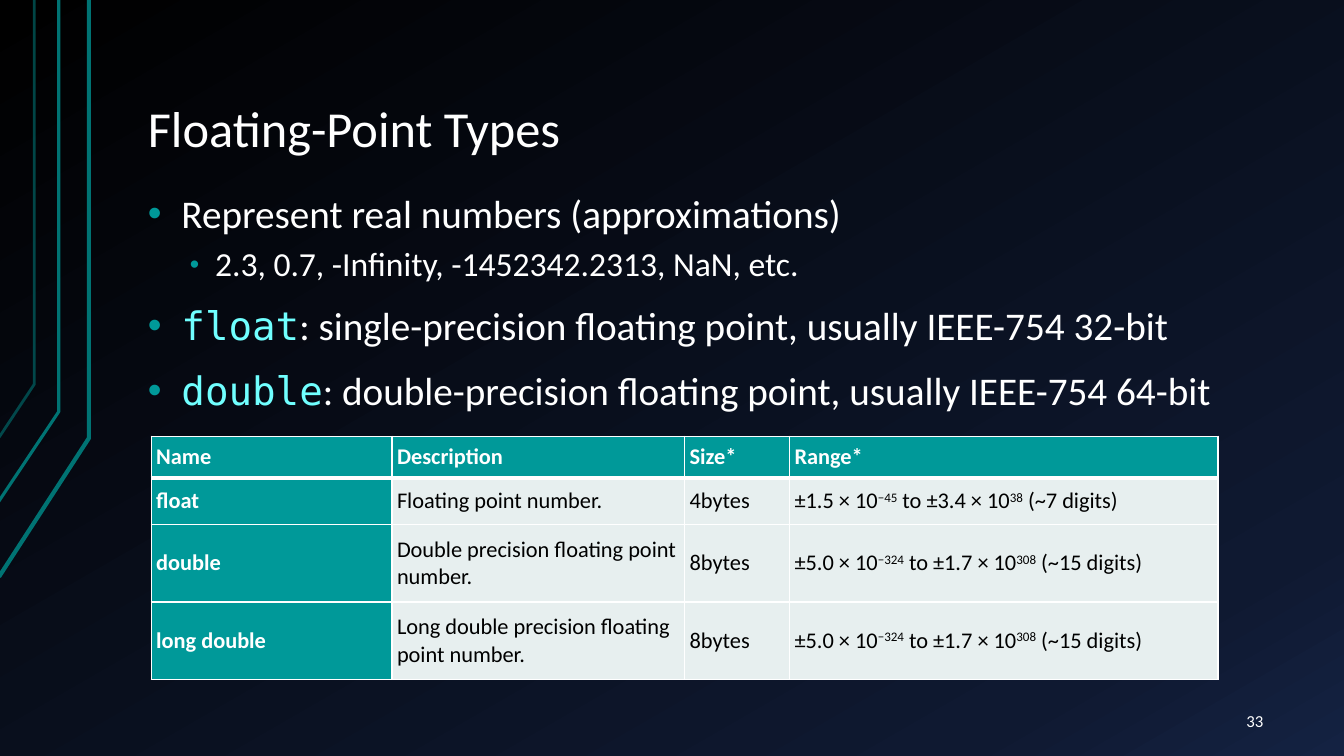
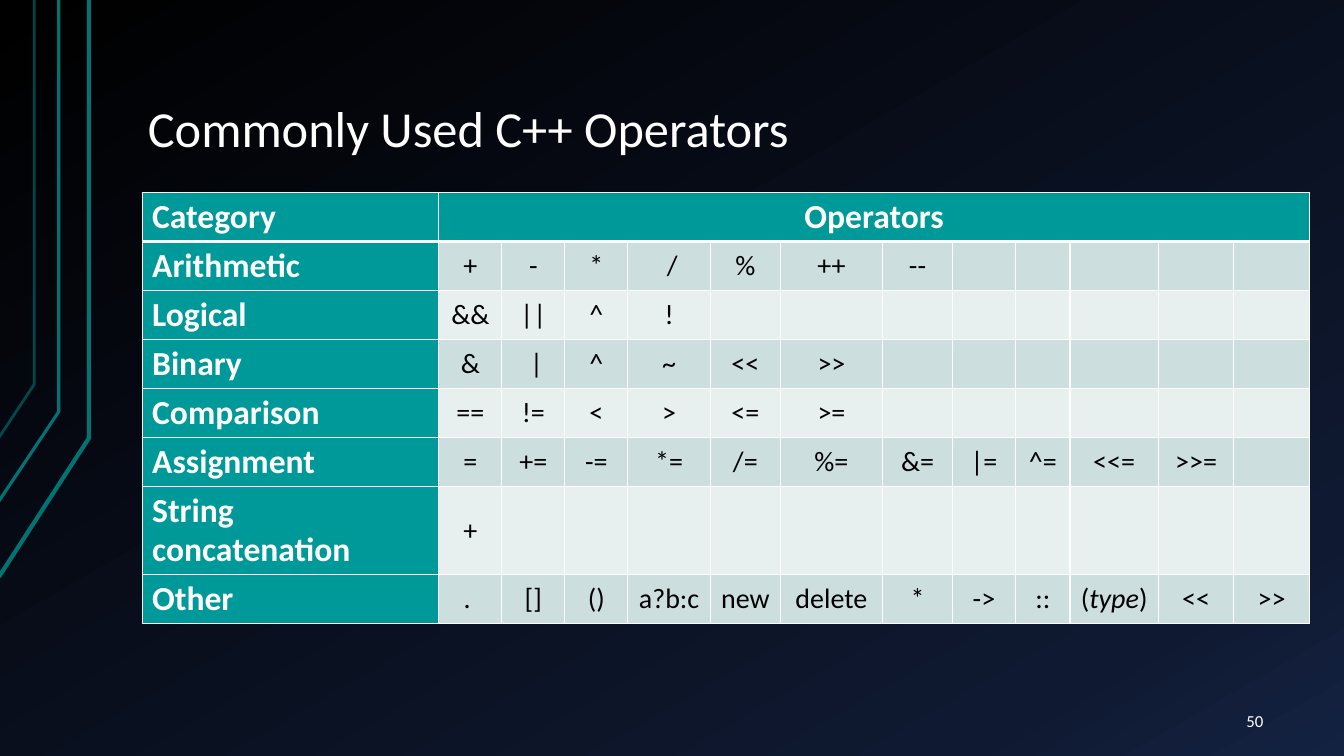
from copy import deepcopy

from lxml import etree
from pptx import Presentation
from pptx.dml.color import RGBColor
from pptx.enum.text import MSO_ANCHOR, PP_ALIGN
from pptx.oxml.ns import qn
from pptx.util import Pt

LEFT, CENTER, RIGHT = PP_ALIGN.LEFT, PP_ALIGN.CENTER, PP_ALIGN.RIGHT
TOP, MIDDLE, BOTTOM = MSO_ANCHOR.TOP, MSO_ANCHOR.MIDDLE, MSO_ANCHOR.BOTTOM

COLORS = {
    "text": "FFFFFF",
    "dark": "000000",
    "accent": "009999",
    "line": "007373",
    "code": "70FFFF",
    "band": "CCDEDE",
    "pale": "E7EFEF",
}
BACKGROUND = [(0, "000000"), (0.85, "0F1931"), (1, "142242")]
CIRCUIT_LINES = [
    ([(-0.7, 412), (63.5, 313), (63.5, 0)], 3, 100),
    ([(-1.5, 359), (42, 294), (42, 0)], 2.25, 100),
    ([(-0.7, 312.5), (24.5, 274.5), (24.5, 0)], 2, 60),
]
BULLETS = [
    {"indent": 24, "hang": 24, "before": 16, "size": 28, "bullet": 100},
    {"indent": 48, "hang": 18, "before": 8, "size": 24, "bullet": 80},
]
SUPER = {"baseline": 30000}
CODE = {"name": "DejaVu Sans Mono", "color": "code"}


def rgb(key):
    return RGBColor.from_string(COLORS[key])


def add_node(parent, tag, **attrs):
    return etree.SubElement(parent, qn(tag), attrs)


class Deck:
    def __init__(self):
        self.prs = Presentation()
        self.prs.slide_width, self.prs.slide_height = Pt(960), Pt(540)
        self.s = None
        self.set_background()

    def set_background(self):
        master = self.prs.slide_master
        fill = master.background.fill
        fill.gradient()
        fill.gradient_angle = 300
        stops = master.element.find(".//" + qn("a:gsLst"))
        stops.append(deepcopy(stops[0]))
        for stop, (position, color) in zip(fill.gradient_stops, BACKGROUND):
            stop.position = position
            stop.color.rgb = RGBColor.from_string(color)

    def slide(self, title, number):
        self.s = self.prs.slides.add_slide(self.prs.slide_layouts[6])
        for points, width, opacity in CIRCUIT_LINES:
            self.circuit_line(points, width, opacity)
        tf = self.box(96, 21.5, 816, 96.5, BOTTOM)
        self.add_text(tf.paragraphs[0], title, spacing=0.9, size=36)
        tf = self.box(832, 500.5, 80, 28.75, MIDDLE)
        self.add_text(tf.paragraphs[0], str(number), align=RIGHT, size=12)

    def circuit_line(self, points, width, opacity):
        start, *rest = [(Pt(x), Pt(y)) for x, y in points]
        builder = self.s.shapes.build_freeform(*start)
        builder.add_line_segments(rest, close=False)
        sp = builder.convert_to_shape()
        sp.shadow.inherit = False
        sp.fill.background()
        sp.line.color.rgb = rgb("line")
        sp.line.width = Pt(width)
        color = sp.element.spPr.find(qn("a:ln")).find(".//" + qn("a:srgbClr"))
        add_node(color, "a:alpha", val=str(opacity * 1000))

    def box(self, x, y, w, h, anchor):
        tf = self.s.shapes.add_textbox(Pt(x), Pt(y), Pt(w), Pt(h)).text_frame
        frame = {"word_wrap": True, "vertical_anchor": anchor,
                 "margin_left": Pt(9.6), "margin_right": Pt(9.6),
                 "margin_top": Pt(4.8), "margin_bottom": Pt(4.8)}
        for key, value in frame.items():
            setattr(tf, key, value)
        return tf

    def add_text(self, p, runs, align=LEFT, spacing=1.0, **font):
        p.alignment, p.line_spacing = align, spacing
        for text, extra in [(runs, {})] if isinstance(runs, str) else runs:
            r = p.add_run()
            r.text = text
            style = {"name": "Calibri", "color": "text", **font, **extra}
            r.font.color.rgb = rgb(style.pop("color"))
            r.font.size = Pt(style.pop("size"))
            baseline = style.pop("baseline", 0)
            if baseline:
                r._r.get_or_add_rPr().set("baseline", str(baseline))
            for key, value in style.items():
                setattr(r.font, key, value)

    def bullets(self, x, y, w, h, items):
        tf = self.box(x, y, w, h, TOP)
        for i, (level, runs) in enumerate(items):
            p = tf.add_paragraph() if i else tf.paragraphs[0]
            look = BULLETS[level]
            p.level = level
            p.space_before = Pt(look["before"])
            self.add_text(p, runs, spacing=0.9, size=look["size"])
            pPr = p._p.get_or_add_pPr()
            pPr.set("marL", str(Pt(look["indent"])))
            pPr.set("indent", str(-Pt(look["hang"])))
            add_node(add_node(pPr, "a:buClr"), "a:srgbClr", val=COLORS["accent"])
            add_node(pPr, "a:buSzPct", val=str(look["bullet"] * 1000))
            add_node(pPr, "a:buFont", typeface="Arial")
            add_node(pPr, "a:buChar", char="•")

    def borders(self, cell, row):
        tcPr = cell._tc.get_or_add_tcPr()
        widths = {"L": 1, "R": 1, "T": 3 if row == 1 else 1, "B": 1 if row else 3}
        for i, (side, width) in enumerate(widths.items()):
            ln = etree.Element(qn("a:ln" + side), w=str(Pt(width)))
            fill = add_node(ln, "a:solidFill")
            add_node(fill, "a:srgbClr", val=COLORS["text"])
            tcPr.insert(i, ln)

    def table(self, x, y, widths, heights, rows, bands, head, body,
              margins=(7.2, 3.6), align=LEFT, spacing=1.0):
        table = self.s.shapes.add_table(
            len(rows), len(widths), Pt(x), Pt(y),
            Pt(sum(widths)), Pt(sum(heights))).table
        table.horz_banding = False
        for col, width in zip(table.columns, widths):
            col.width = Pt(width)
        for row, height in zip(table.rows, heights):
            row.height = Pt(height)
        side, edge = map(Pt, margins)
        frame = {"vertical_anchor": MIDDLE, "margin_left": side,
                 "margin_right": side, "margin_top": edge, "margin_bottom": edge}
        for i, row in enumerate(rows):
            for j in range(len(widths)):
                cell = table.cell(i, j)
                heading = i == 0 or j == 0
                for key, value in frame.items():
                    setattr(cell, key, value)
                cell.fill.solid()
                cell.fill.fore_color.rgb = rgb(
                    "accent" if heading else bands[(i - 1) % len(bands)])
                self.borders(cell, i)
                if j < len(row):
                    self.add_text(cell.text_frame.paragraphs[0], row[j],
                                  align=align if j else LEFT, spacing=spacing,
                                  size=head if heading else body, bold=heading,
                                  color="text" if heading else "dark")
        return table


def value_range(low, low_exp, high, high_exp, digits):
    return [(f"±{low} × 10", {}), (f"−{low_exp}", SUPER),
            (f" to ±{high} × 10", {}), (str(high_exp), SUPER),
            (f" (~{digits} digits)", {})]


def floating_point_slide(deck):
    deck.slide("Floating-Point Types", 33)
    deck.bullets(96, 134, 816, 351, [
        (0, "Represent real numbers (approximations)"),
        (1, "2.3, 0.7, -Infinity, -1452342.2313, NaN, etc."),
        (0, [("float", CODE),
             (": single-precision floating point, usually IEEE-754 32-bit", {})]),
        (0, [("double", CODE),
             (": double-precision floating point, usually IEEE-754 64-bit", {})]),
    ])
    double_range = value_range("5.0", 324, "1.7", 308, 15)
    rows = [
        ["Name", "Description", "Size*", "Range*"],
        ["float", "Floating point number.", "4bytes",
         value_range("1.5", 45, "3.4", 38, 7)],
        ["double", "Double precision floating point number.", "8bytes",
         double_range],
        ["long double", "Long double precision floating point number.",
         "8bytes", double_range],
    ]
    deck.table(108, 311.5, [172, 209, 75, 306], [30, 33, 55.5, 55.5], rows,
               ["pale"], head=16, body=16, margins=(3.6, 1.5))


def operators_slide(deck):
    deck.slide("Commonly Used C++ Operators", 50)
    cast = [("(", {}), ("type", {"italic": True}), (")", {})]
    rows = [
        ["Category", "Operators"],
        ["Arithmetic", "+", "-", "*", " /", "%", "++", "--"],
        ["Logical", "&&", "||", "^", "!"],
        ["Binary", "&", " |", "^", "~", "<<", ">>"],
        ["Comparison", "==", "!=", "<", ">", "<=", ">="],
        ["Assignment", "=", "+=", "-=", "*=", "/=", "%=", "&=", "|=", "^=",
         "<<=", ">>="],
        ["String concatenation", "+"],
        ["Other", ". ", "[]", "()", "a?b:c", "new", "delete", "*", "->", "::",
         cast, "<<", ">>"],
    ]
    widths = [212, 45, 45, 45, 59, 50, 73, 50, 45, 39, 63, 54, 54]
    table = deck.table(101.5, 137.5, widths, [35] * 6 + [63, 35], rows,
                       ["band", "pale"], head=24, body=20,
                       align=CENTER, spacing=0.95)
    table.cell(0, 1).merge(table.cell(0, len(widths) - 1))


def main():
    deck = Deck()
    floating_point_slide(deck)
    operators_slide(deck)
    deck.prs.save("out.pptx")


if __name__ == "__main__":
    main()
